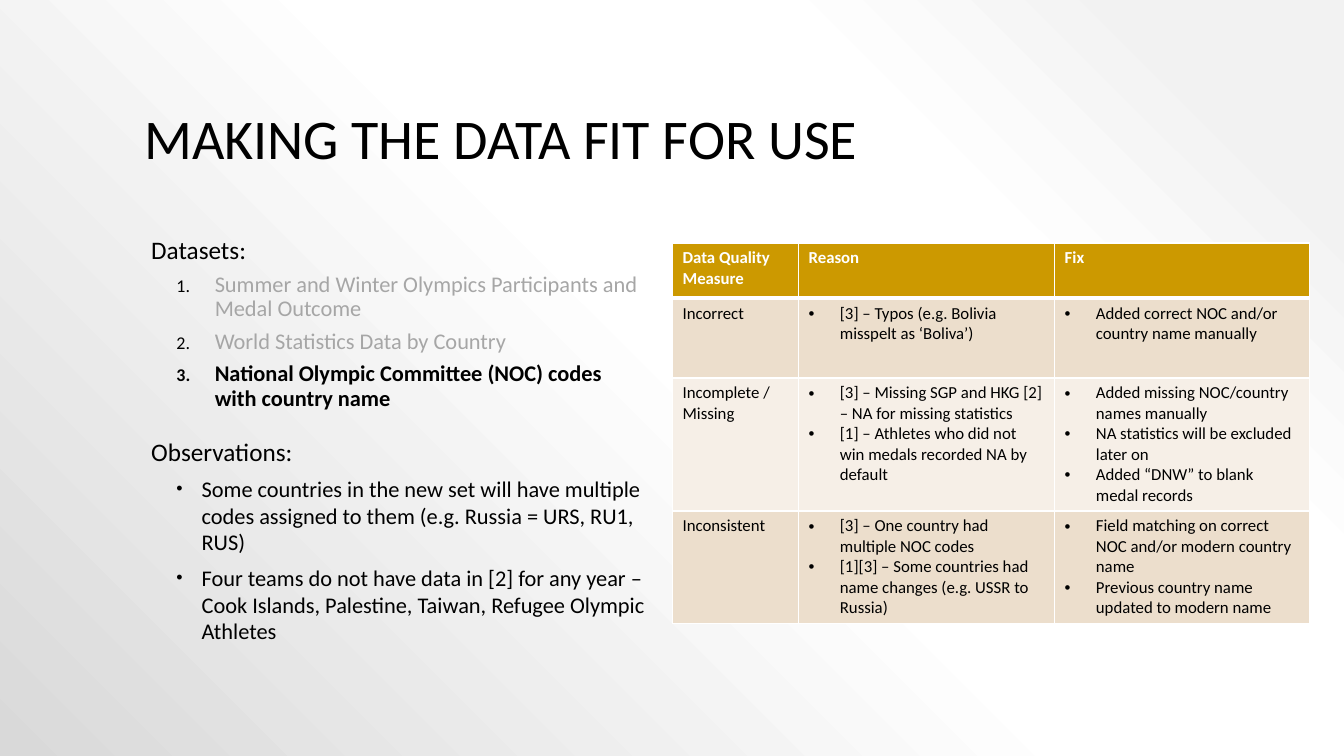
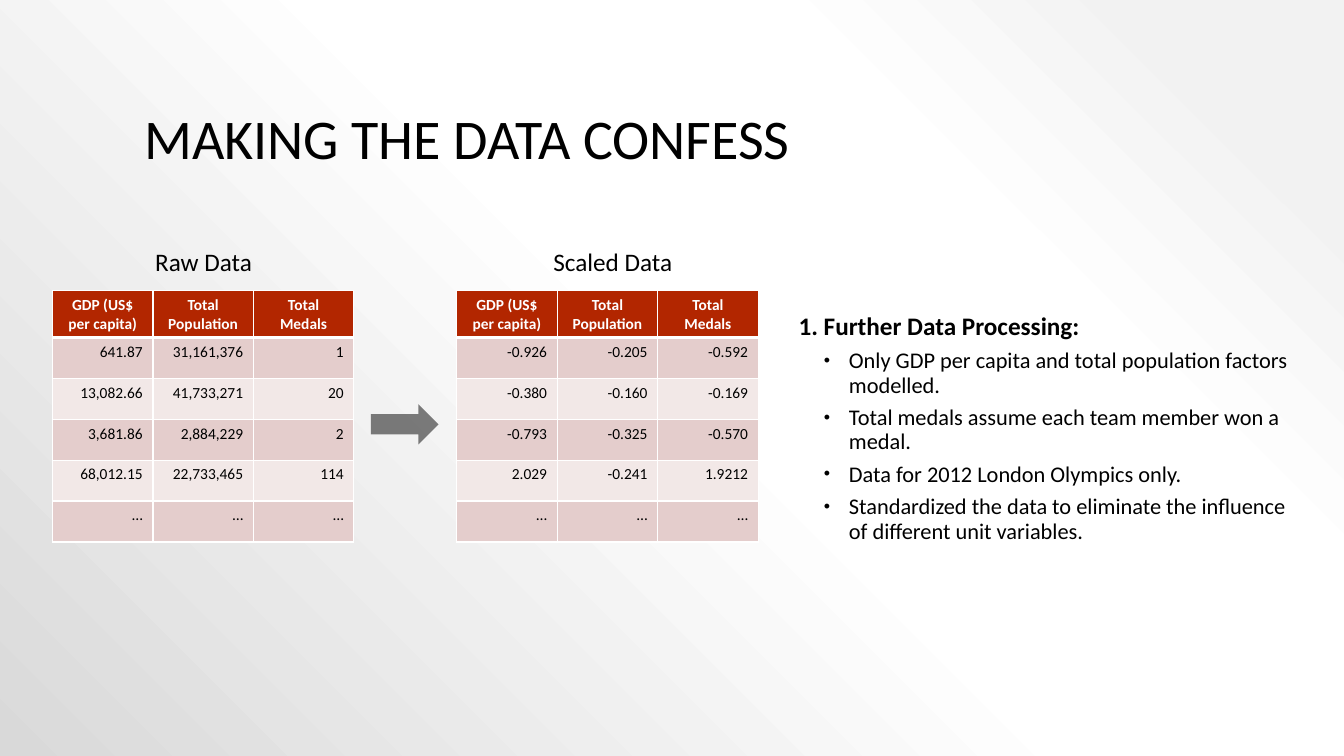
from lxml import etree
from pptx import Presentation
from pptx.dml.color import RGBColor
from pptx.enum.shapes import MSO_SHAPE
from pptx.enum.text import MSO_ANCHOR, MSO_AUTO_SIZE, PP_ALIGN
from pptx.oxml import parse_xml
from pptx.oxml.ns import nsdecls, qn
from pptx.util import Inches, Pt

LEFT, CENTER, RIGHT = PP_ALIGN.LEFT, PP_ALIGN.CENTER, PP_ALIGN.RIGHT
BOTTOM, MIDDLE = MSO_ANCHOR.BOTTOM, MSO_ANCHOR.MIDDLE
NO_AUTOSIZE = MSO_AUTO_SIZE.NONE
RIGHT_ARROW = MSO_SHAPE.RIGHT_ARROW

FONT = "Calibri"
COLORS = {
    "text": "000000",
    "muted": "A6A6A6",
    "white": "FFFFFF",
    "gold": "CC9900",
    "gold_dark_band": "ECDECC",
    "gold_light_band": "F6EFE7",
    "red": "B22600",
    "red_dark_band": "E4CDCC",
    "red_light_band": "F2E8E7",
}
BACKGROUND_STOPS = [(10, "F2F2F2"), (28, "FFFFFF"), (48, "FFFFFF"), (100, "D9D9D9")]

HEADING = {"size": 18, "indent": 0.05, "line_spacing": 0.9}
NUMBERED = {"size": 16, "indent": 0.68, "hanging": 0.38, "bullet": "1.",
            "bullet_scale": 80, "space_before": 6, "line_spacing": 0.9}
BULLETED = {"size": 16, "indent": 0.55, "hanging": 0.25, "bullet": "•",
            "bullet_scale": 80, "space_before": 6}

QUALITY_ROWS = [
    ["Data Quality Measure", "Reason", "Fix"],
    ["Incorrect",
     ["[3] – Typos (e.g. Bolivia misspelt as ‘Boliva’)"],
     ["Added correct NOC and/or country name manually"]],
    ["Incomplete / Missing",
     ["[3] – Missing SGP and HKG [2] – NA for missing statistics",
      "[1] – Athletes who did not win medals recorded NA by default"],
     ["Added missing NOC/country names manually",
      "NA statistics will be excluded later on",
      "Added “DNW” to blank medal records"]],
    ["Inconsistent",
     ["[3] – One country had multiple NOC codes",
      "[1][3] – Some countries had name changes (e.g. USSR to Russia)"],
     ["Field matching on correct NOC and/or modern country name",
      "Previous country name updated to modern name"]],
]
MEASURES = ["GDP (US$ per capita)", "Total Population", "Total Medals"]
RAW_ROWS = [
    MEASURES,
    ["641.87", "31,161,376", "1"],
    ["13,082.66", "41,733,271", "20"],
    ["3,681.86", "2,884,229", "2"],
    ["68,012.15", "22,733,465", "114"],
    ["…"] * 3,
]
SCALED_ROWS = [
    MEASURES,
    ["-0.926", "-0.205", "-0.592"],
    ["-0.380", "-0.160", "-0.169"],
    ["-0.793", "-0.325", "-0.570"],
    ["2.029", "-0.241", "1.9212"],
    ["…"] * 3,
]


def rgb(name):
    return RGBColor.from_string(COLORS[name])


def set_bullet(paragraph, bullet, scale, indent, hanging):
    properties = paragraph._p.get_or_add_pPr()
    properties.set("marL", str(Inches(indent)))
    properties.set("indent", str(-Inches(hanging)))
    if not bullet:
        etree.SubElement(properties, qn("a:buNone"))
        return
    color = etree.SubElement(properties, qn("a:buClr"))
    etree.SubElement(color, qn("a:srgbClr"), val=COLORS["text"])
    etree.SubElement(properties, qn("a:buSzPct"), val=str(scale * 1000))
    if bullet == "1.":
        etree.SubElement(properties, qn("a:buFont"), typeface=FONT)
        etree.SubElement(properties, qn("a:buAutoNum"), type="arabicPeriod")
    else:
        etree.SubElement(properties, qn("a:buFont"), typeface="Arial")
        etree.SubElement(properties, qn("a:buChar"), char=bullet)


def add_text(frame, text, size=12, color="text", bold=False, align=LEFT, indent=0,
             hanging=0, bullet=None, bullet_scale=100, space_before=0, line_spacing=1.0):
    """Fill the frame's empty first paragraph, or append a new one."""
    first = not frame.text
    paragraph = frame.paragraphs[0] if first else frame.add_paragraph()
    set_bullet(paragraph, bullet, bullet_scale, indent, hanging)
    paragraph.alignment = align
    paragraph.line_spacing = line_spacing
    paragraph.space_before = Pt(0 if first else space_before)
    run = paragraph.add_run()
    run.text = text
    run.font.name = FONT
    run.font.size = Pt(size)
    run.font.bold = bold
    run.font.color.rgb = rgb(color)


def place(shape, left, top, width, height):
    shape.left, shape.top = Inches(left), Inches(top)
    shape.width, shape.height = Inches(width), Inches(height)


def set_alpha(shape, percent):
    color = shape._element.spPr.find(qn("a:solidFill"))[0]
    etree.SubElement(color, qn("a:alpha"), val=str(percent * 1000))


def set_master_background(master):
    """Give every slide a circular gradient centred on the top right corner."""
    master.background.fill.solid()
    properties = master.element.find(".//" + qn("p:bgPr"))
    stops = "".join(
        f'<a:gs pos="{position * 1000}"><a:srgbClr val="{color}"/></a:gs>'
        for position, color in BACKGROUND_STOPS)
    gradient = parse_xml(
        f'<a:gradFill {nsdecls("a")} rotWithShape="1"><a:gsLst>{stops}</a:gsLst>'
        '<a:path path="circle"><a:fillToRect l="100000" b="100000"/></a:path>'
        '</a:gradFill>')
    properties.replace(properties[0], gradient)


def add_slide(presentation, title):
    slide = presentation.slides.add_slide(presentation.slide_layouts[1])
    shape = slide.shapes.title
    place(shape, 1.33, 0.3, 10.67, 1.45)
    frame = shape.text_frame
    frame.vertical_anchor = BOTTOM
    frame.auto_size = NO_AUTOSIZE
    add_text(frame, title, size=40, line_spacing=0.9)
    return slide


def place_body(slide, left, top, width, height):
    body = slide.placeholders[1]
    place(body, left, top, width, height)
    frame = body.text_frame
    frame.vertical_anchor = MIDDLE
    frame.auto_size = NO_AUTOSIZE
    return frame


def add_label(slide, text, left, top, width):
    box = slide.shapes.add_textbox(Inches(left), Inches(top), Inches(width), Inches(0.37))
    box.text_frame.word_wrap = False
    add_text(box.text_frame, text, size=18, line_spacing=0.9)


def add_arrow(slide, left, top, width, height):
    arrow = slide.shapes.add_shape(
        RIGHT_ARROW, Inches(left), Inches(top), Inches(width), Inches(height))
    arrow.shadow.inherit = False
    arrow.fill.solid()
    arrow.fill.fore_color.rgb = rgb("text")
    arrow.line.fill.background()
    set_alpha(arrow, 50)


def set_cell_borders(cell, bottom):
    properties = cell._tc.get_or_add_tcPr()
    widths = {"a:lnL": 1, "a:lnR": 1, "a:lnT": 1, "a:lnB": bottom}
    for position, (tag, width) in enumerate(widths.items()):
        line = etree.Element(qn(tag), w=str(Pt(width)))
        fill = etree.SubElement(line, qn("a:solidFill"))
        etree.SubElement(fill, qn("a:srgbClr"), val=COLORS["white"])
        properties.insert(position, line)


def add_data_table(slide, rows, left, top, column_widths, row_heights, palette,
                   size, header_align=LEFT, body_align=LEFT):
    """Add a banded table; a cell given as a list becomes bullets."""
    frame = slide.shapes.add_table(
        len(rows), len(column_widths), Inches(left), Inches(top),
        Inches(sum(column_widths)), Inches(sum(row_heights)))
    table = frame.table
    for column, width in zip(table.columns, column_widths):
        column.width = Inches(width)
    for row_index, (values, height) in enumerate(zip(rows, row_heights)):
        table.rows[row_index].height = Inches(height)
        header = row_index == 0
        band = "_dark_band" if row_index % 2 else "_light_band"
        for column_index, value in enumerate(values):
            cell = table.cell(row_index, column_index)
            cell.fill.solid()
            cell.fill.fore_color.rgb = rgb(palette if header else palette + band)
            set_cell_borders(cell, bottom=3 if header else 1)
            is_list = isinstance(value, list)
            bullets = {"bullet": "•", "indent": 0.31, "hanging": 0.31} if is_list else {}
            for text in value if is_list else [value]:
                add_text(cell.text_frame, text, size=size, bold=header,
                         color="white" if header else "text",
                         align=header_align if header else body_align, **bullets)


def add_fit_for_use_slide(presentation):
    slide = add_slide(presentation, "MAKING THE DATA FIT FOR USE")
    body = place_body(slide, 1.35, 2, 5.15, 4.75)
    add_text(body, "Datasets:", **HEADING)
    add_text(body, "Summer and Winter Olympics Participants and Medal Outcome",
             color="muted", **NUMBERED)
    add_text(body, "World Statistics Data by Country", color="muted", **NUMBERED)
    add_text(body, "National Olympic Committee (NOC) codes with country name",
             bold=True, **NUMBERED)
    add_text(body, "Observations:", size=18, indent=0.05, space_before=18)
    for text in (
        "Some countries in the new set will have multiple codes assigned to them "
        "(e.g. Russia = URS, RU1, RUS)",
        "Four teams do not have data in [2] for any year – Cook Islands, Palestine, "
        "Taiwan, Refugee Olympic Athletes",
    ):
        add_text(body, text, **BULLETED)
    add_data_table(slide, QUALITY_ROWS, 6.67, 2.41, [1.25, 2.54, 2.53],
                   [0.55, 0.79, 1.28, 1.02], "gold", size=12)


def add_confess_slide(presentation):
    slide = add_slide(presentation, "MAKING THE DATA CONFESS")
    body = place_body(slide, 7.77, 2.03, 5.15, 4.45)
    add_text(body, "1. Further Data Processing:", bold=True, **HEADING)
    for text in (
        "Only GDP per capita and total population factors modelled.",
        "Total medals assume each team member won a medal.",
        "Data for 2012 London Olympics only.",
        "Standardized the data to eliminate the influence of different unit variables.",
    ):
        add_text(body, text, line_spacing=0.9, **BULLETED)
    column_widths = [2.99 / 3] * 3
    row_heights = [0.46] + [2.03 / 5] * 5
    for label, label_left, label_width, rows, left in (
        ("Raw Data", 1.44, 1.19, RAW_ROWS, 0.52),
        ("Scaled Data", 5.39, 1.4, SCALED_ROWS, 4.53),
    ):
        add_label(slide, label, label_left, 2.43, label_width)
        add_data_table(slide, rows, left, 2.88, column_widths, row_heights, "red",
                       size=11, header_align=CENTER, body_align=RIGHT)
    add_arrow(slide, 3.68, 4.01, 0.67, 0.4)


def main():
    presentation = Presentation()
    presentation.slide_width = Inches(13.33)
    presentation.slide_height = Inches(7.5)
    set_master_background(presentation.slide_master)
    add_fit_for_use_slide(presentation)
    add_confess_slide(presentation)
    presentation.save("out.pptx")


if __name__ == "__main__":
    main()
